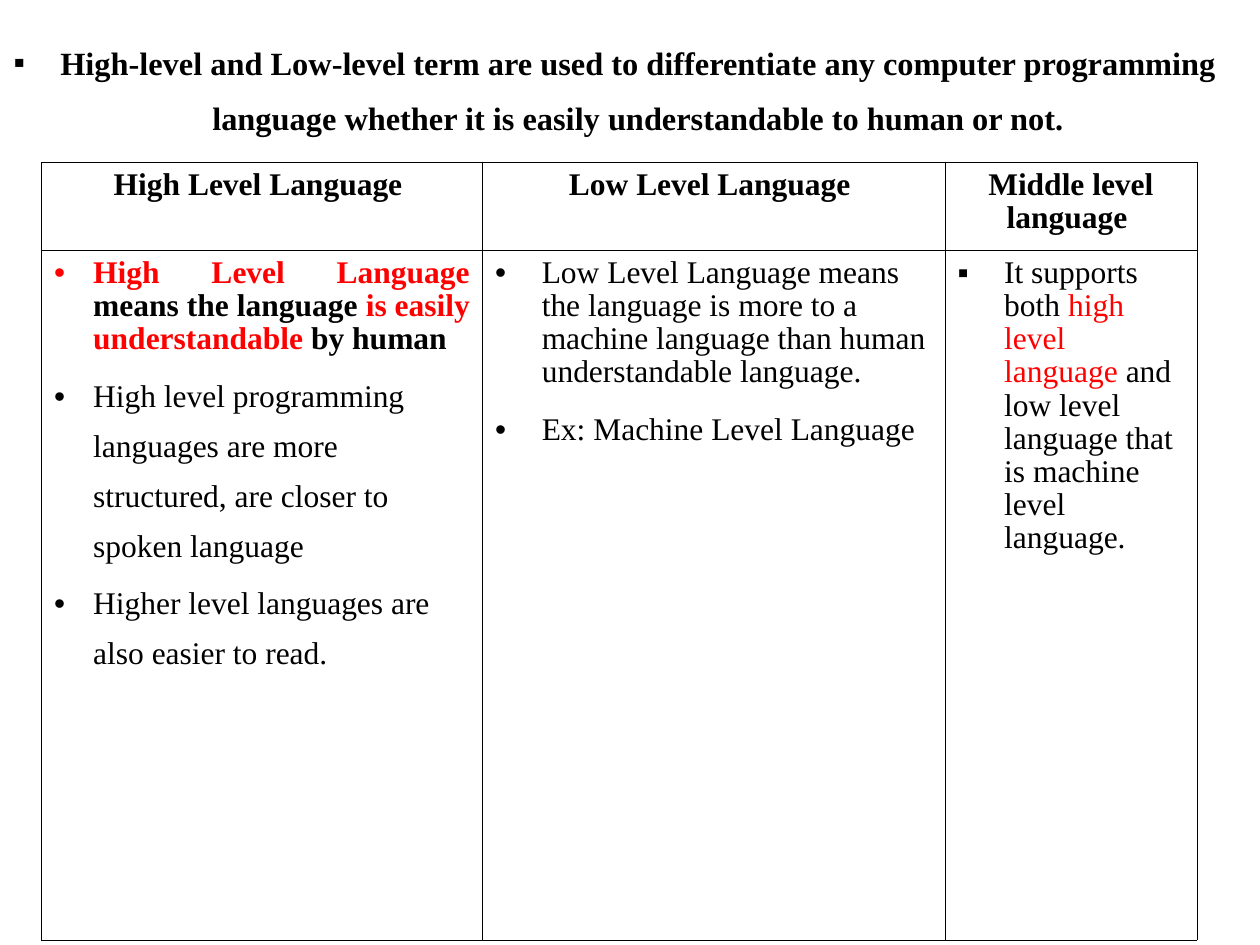
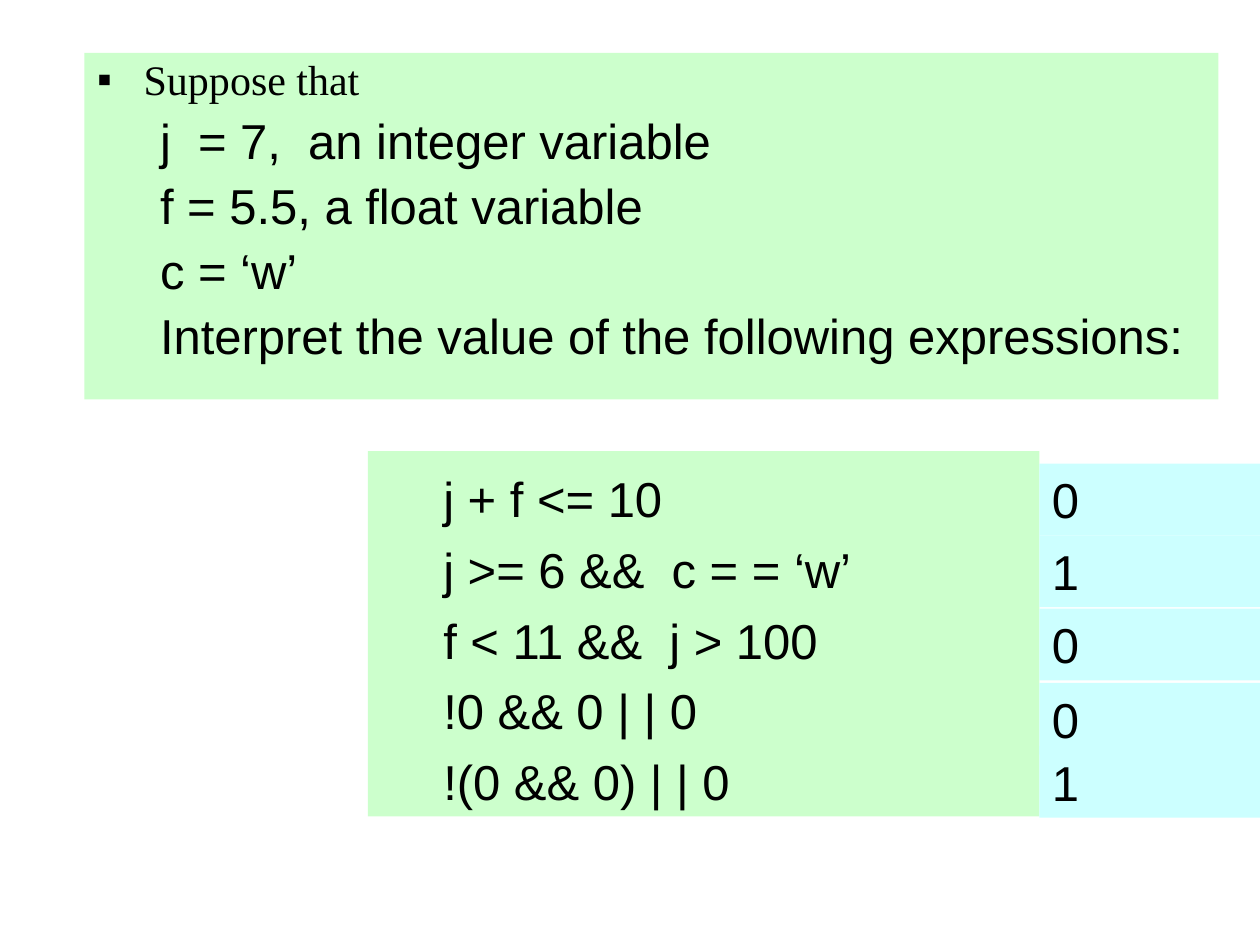
from lxml.etree import SubElement
from pptx import Presentation
from pptx.dml.color import RGBColor
from pptx.enum.shapes import MSO_SHAPE
from pptx.enum.text import MSO_ANCHOR, MSO_AUTO_SIZE, PP_ALIGN
from pptx.oxml import parse_xml
from pptx.oxml.ns import nsdecls, qn
from pptx.util import Inches, Pt

COLORS = {"ink": "000000", "accent": "FF0000", "panel": "CCFFCC", "answer": "CCFFFF"}
SERIF, SANS = "Times New Roman", "Arial"
HEADERS = ["High Level Language ", "Low Level Language ", "Middle level language "]
HIGH_MEANING = [("High Level Language", "accent"), (" means the language ", "ink"),
                ("is easily understandable", "accent"), (" by human", "ink")]
HIGH_POINTS = [
    "High level programming languages are more structured, are closer to spoken language",
    "Higher level languages are also easier to read.",
]
LOW_MEANING = ("Low Level Language means the language is more to a machine language "
               "than human understandable language.")
MIDDLE_MEANING = [("It supports both ", "ink"), ("high level language ", "accent"),
                  ("and low level language that is machine level language.", "ink")]
GIVENS = ["j  = 7,  an integer variable", "f = 5.5, a float variable", "c = ‘w’",
          "Interpret the value of the following expressions:"]
EXPRESSIONS = ["j + f <= 10", "j >= 6 &&  c = = ‘w’", "f < 11 &&  j > 100",
               "!0 && 0 | | 0", "!(0 && 0) | | 0"]
ANSWERS = [("0", 3.68), ("1", 4.25), ("0", 4.83), ("0", 5.42), ("1", 5.92)]


def rgb(name):
    """Return a palette colour."""
    return RGBColor.from_string(COLORS[name])


def write(tf, text, size, font=SERIF, bold=False, align=PP_ALIGN.LEFT, spacing=1.0,
          before=0, margin=0, indent=0, bullet=None, level=0):
    """Add one paragraph, given as a string or as (text, colour) pairs."""
    runs = [(text, "ink")] if isinstance(text, str) else text
    first = not tf.text
    p = tf.paragraphs[0] if first else tf.add_paragraph()
    p.level = level
    pPr = p._p.get_or_add_pPr()
    pPr.set("marL", str(Inches(margin)))
    pPr.set("indent", str(Inches(indent)))
    if bullet:
        clr = SubElement(pPr, qn("a:buClr"))
        SubElement(clr, qn("a:srgbClr"), val=COLORS[runs[0][1]])
        SubElement(pPr, qn("a:buFont"), typeface="Arial")
        SubElement(pPr, qn("a:buChar"), char=bullet)
    else:
        SubElement(pPr, qn("a:buNone"))
    p.alignment, p.line_spacing = align, spacing
    p.space_before = Pt(0 if first else before)
    for words, color in runs:
        r = p.add_run()
        r.text = words
        r.font.size, r.font.name, r.font.bold = Pt(size), font, bold
        r.font.color.rgb = rgb(color)


def frame(sp, box):
    """Place a shape in its box and return its top-aligned text frame."""
    sp.left, sp.top, sp.width, sp.height = (Inches(v) for v in box)
    tf = sp.text_frame
    tf.word_wrap, tf.auto_size = True, MSO_AUTO_SIZE.NONE
    tf.vertical_anchor = MSO_ANCHOR.TOP
    return tf


def panel(s, box, color):
    """Draw a plain filled rectangle and return its text frame."""
    sp = s.shapes.add_shape(MSO_SHAPE.RECTANGLE, *(Inches(v) for v in box))
    sp.shadow.inherit = False
    sp.fill.solid()
    sp.fill.fore_color.rgb = rgb(color)
    sp.line.fill.background()
    return frame(sp, box)


def outline(cell):
    """Leave a cell unfilled with thin borders on all sides."""
    cell.fill.background()
    tcPr = cell._tc.get_or_add_tcPr()
    for i, side in enumerate("LRTB"):
        tcPr.insert(i, parse_xml(
            f'<a:ln{side} {nsdecls("a")} w="{Pt(0.45)}"><a:solidFill>'
            f'<a:srgbClr val="{COLORS["ink"]}"/></a:solidFill></a:ln{side}>'))


def level_table(s, box):
    """Compare the three language levels in a table."""
    shape = s.shapes.add_table(2, 3, *(Inches(v) for v in box))
    table = shape.table
    table.first_row = table.horz_banding = False
    for col, width in zip(table.columns, (3.5, 3.67, 2)):
        col.width = Inches(width)
    for row, height in zip(table.rows, (0.7, box[3] - 0.7)):
        row.height = Inches(height)
    for cell in table.iter_cells():
        outline(cell)
    for i, header in enumerate(HEADERS):
        write(table.cell(0, i).text_frame, header, 18, bold=True,
              align=PP_ALIGN.CENTER, spacing=0.95)
    high, low, middle = (table.cell(1, i).text_frame for i in range(3))
    narrow = dict(size=18, before=4.5, margin=0.31, indent=-0.31, bullet="•")
    wide = dict(narrow, margin=0.37, indent=-0.37)
    write(high, HIGH_MEANING, bold=True, align=PP_ALIGN.JUSTIFY, spacing=0.95, **narrow)
    for point in HIGH_POINTS:
        write(high, point, spacing=1.43, **narrow)
    write(low, LOW_MEANING, spacing=0.95, **wide)
    write(low, "Ex: Machine Level Language", spacing=1.43, **wide)
    write(middle, MIDDLE_MEANING, spacing=0.95, **dict(wide, bullet="▪"))


def levels_slide(prs):
    """Build the slide on language levels."""
    s = prs.slides.add_slide(prs.slide_layouts[5])
    write(frame(s.shapes.title, (0, 0.17, 9.75, 1)),
          "High-level and Low-level term are used to differentiate any computer programming "
          "language whether it is easily understandable to human or not.",
          18.5, bold=True, align=PP_ALIGN.CENTER, spacing=1.4,
          margin=0.37, indent=-0.37, bullet="▪")
    level_table(s, (0.33, 1.29, 9.17, 6.17))


def givens_list(s, box):
    """Fill the body placeholder with the given variables."""
    body = s.placeholders[1]
    body.fill.solid()
    body.fill.fore_color.rgb = rgb("panel")
    tf = frame(body, box)
    write(tf, "Suppose that", 24, spacing=0.9, margin=0.37, indent=-0.37, bullet="▪")
    for given in GIVENS:
        write(tf, given, 28, SANS, spacing=0.9, before=7, margin=0.81, indent=-0.31, level=1)


def expressions_panel(s, box):
    """List the expressions, with their answers along the right edge."""
    left, top, width, height = box
    tf = panel(s, box, "panel")
    for expression in EXPRESSIONS:
        write(tf, expression, 28, SANS, spacing=1.2, margin=0.5, level=1)
    for answer, y in ANSWERS:
        write(panel(s, (left + width, y, 3.33, 0.57), "answer"), answer, 28, SANS)


def expressions_slide(prs):
    """Build the slide on evaluating expressions."""
    s = prs.slides.add_slide(prs.slide_layouts[1])
    title = s.shapes.title._element
    title.getparent().remove(title)
    givens_list(s, (0.67, 0.42, 9, 2.75))
    expressions_panel(s, (2.92, 3.58, 5.33, 2.9))


def main():
    """Build and save the presentation."""
    prs = Presentation()
    prs.slide_width, prs.slide_height = Inches(10), Inches(7.5)
    levels_slide(prs)
    expressions_slide(prs)
    prs.save("out.pptx")


if __name__ == "__main__":
    main()
